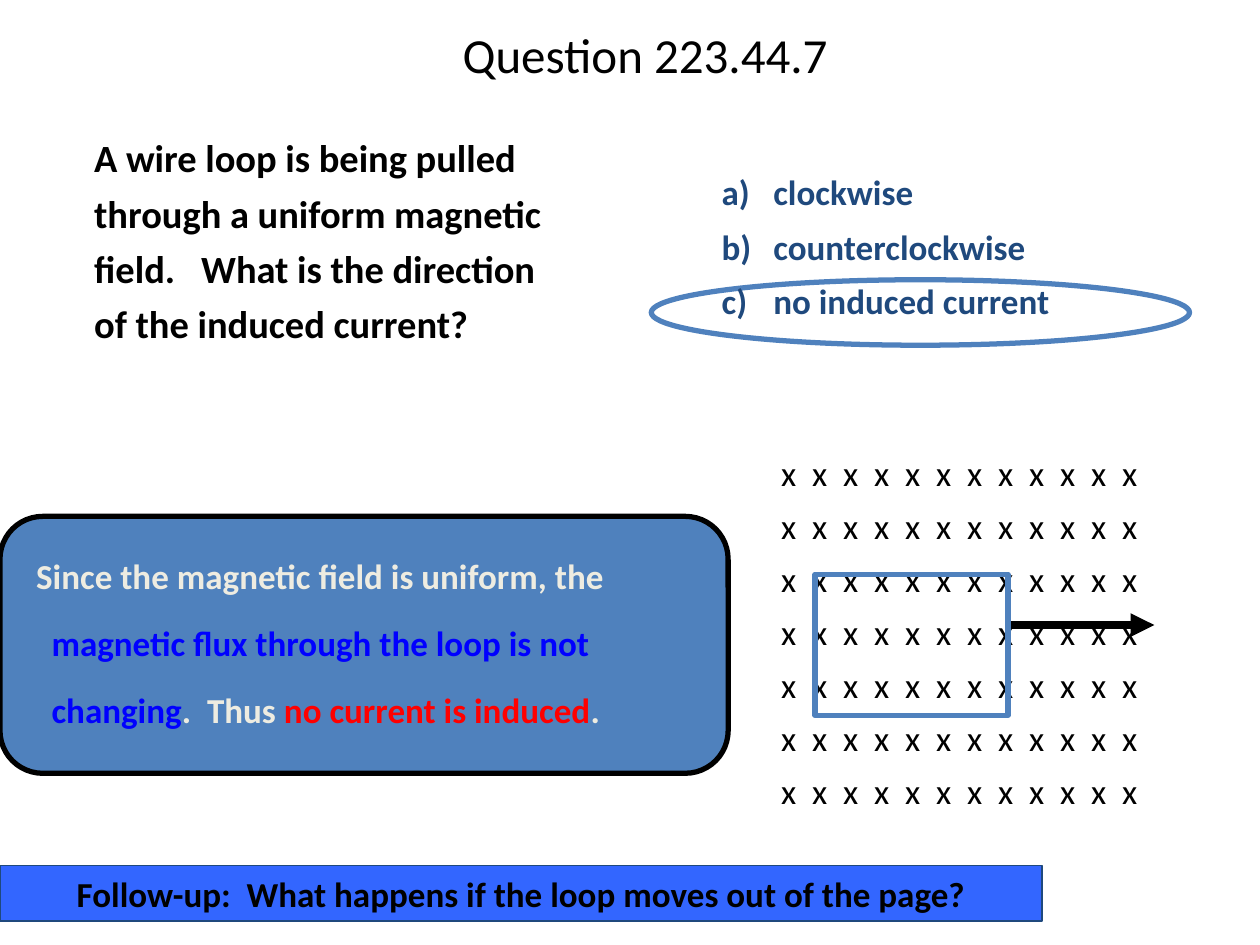
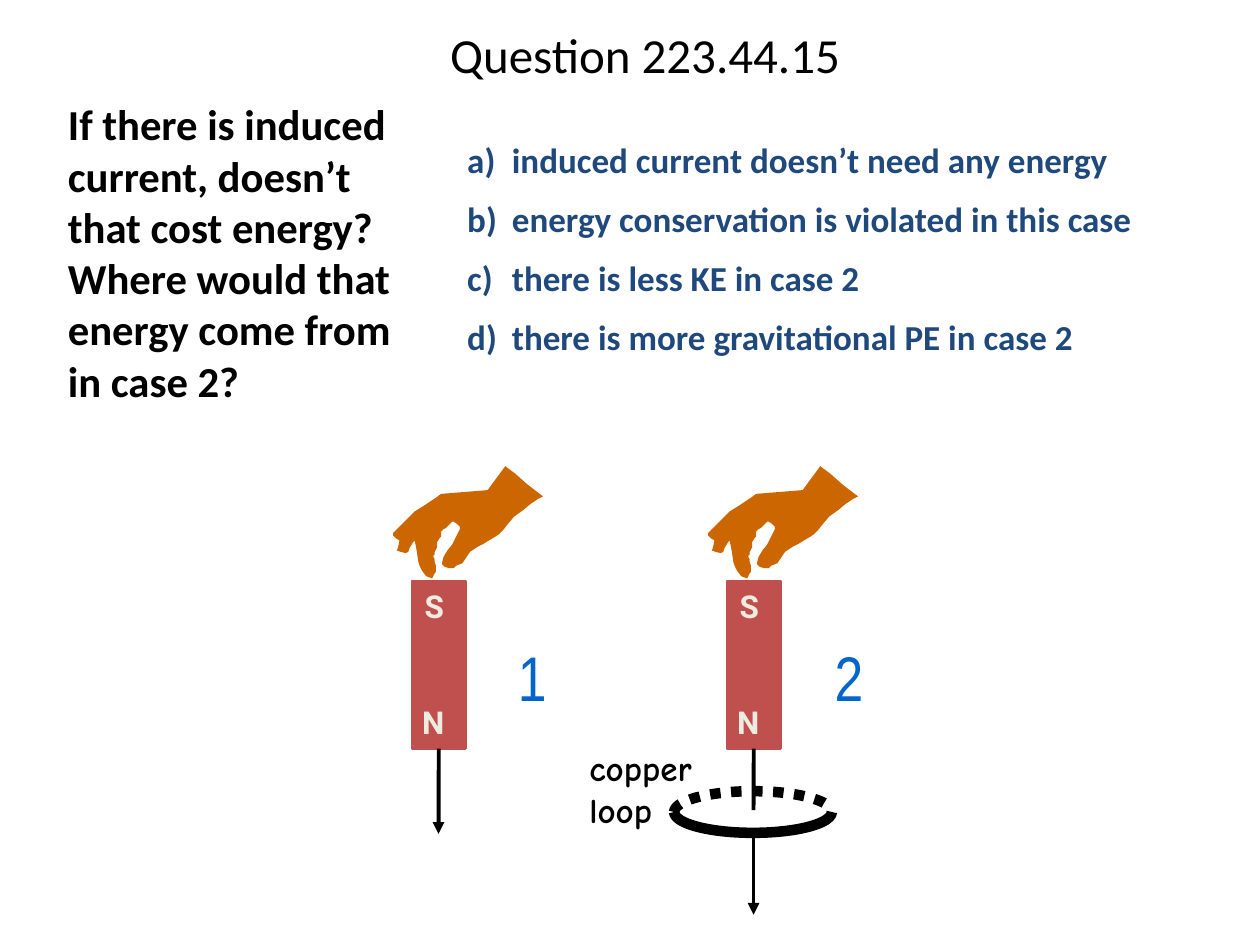
from pptx import Presentation
from pptx.dml.color import RGBColor
from pptx.enum.dml import MSO_LINE
from pptx.enum.shapes import MSO_CONNECTOR, MSO_SHAPE
from pptx.enum.text import MSO_ANCHOR, PP_ALIGN
from pptx.oxml.ns import qn
from pptx.util import Cm, Pt
from lxml import etree

# Shared look
FONT = "Calibri"
BLACK, BLUE, NAVY, CREAM = "000000", "4F81BD", "1F497D", "EEECE1"
MAGNET_RED, HAND_BROWN, DIGIT_BLUE = "C0504D", "CC6600", "0066CC"
BAR_BLUE, PURE_BLUE, RED = "3366FF", "0000FF", "FF0000"

LEFT, CENTER = PP_ALIGN.LEFT, PP_ALIGN.CENTER
TOP, MIDDLE = MSO_ANCHOR.TOP, MSO_ANCHOR.MIDDLE
RECTANGLE, ROUNDED = MSO_SHAPE.RECTANGLE, MSO_SHAPE.ROUNDED_RECTANGLE
OVAL, ARC = MSO_SHAPE.OVAL, MSO_SHAPE.ARC
STRAIGHT, DOTTED = MSO_CONNECTOR.STRAIGHT, MSO_LINE.ROUND_DOT
BOTTOM_SITE = 2
ARC_UNITS_PER_DEGREE = 0.6

# Hand outline in units of HAND_UNIT centimetres
HAND_UNIT = 0.0254
HAND = [
    (34, 82), (34, 79), (33, 76), (33, 74), (32, 72), (32, 71), (33, 70),
    (33, 68), (35, 64), (35, 60), (37, 57), (38, 56), (38, 52), (40, 50),
    (42, 49), (47, 44), (48, 44), (51, 46), (53, 48), (53, 50), (51, 54),
    (47, 62), (43, 67), (40, 72), (39, 76), (39, 78), (41, 80), (45, 81),
    (48, 81), (50, 79), (55, 77), (57, 74), (61, 68), (64, 66), (67, 64),
    (71, 62), (76, 59), (81, 56), (84, 54), (87, 51), (91, 46), (96, 40),
    (103, 35), (109, 30), (115, 26), (119, 24), (115, 21), (106, 14),
    (97, 6), (89, 0), (75, 19), (38, 22), (34, 25), (25, 31), (17, 36),
    (12, 41), (5, 48), (0, 53), (0, 55), (2, 57), (5, 59), (4, 64), (3, 67),
    (6, 68), (10, 69), (12, 68), (13, 65), (16, 60), (17, 59), (18, 63),
    (19, 69), (20, 76), (21, 79), (23, 83), (26, 87), (28, 88), (31, 89),
    (32, 87), (33, 85), (34, 84),
]


def color(hex_string):
    return RGBColor.from_string(hex_string)


def write(frame, paragraphs, size=20, fill=BLACK, bold=False, font=FONT,
          align=LEFT, anchor=TOP, spacing=1.0, before=0, margin=0, indent=0,
          insets=(0.25, 0.13), wrap=True):
    """Each paragraph is a string or a list of (text, colour) runs."""
    frame.word_wrap = wrap
    frame.vertical_anchor = anchor
    frame.margin_left = frame.margin_right = Cm(insets[0])
    frame.margin_top = frame.margin_bottom = Cm(insets[1])
    for index, content in enumerate(paragraphs):
        paragraph = frame.add_paragraph() if index else frame.paragraphs[0]
        paragraph.alignment = align
        paragraph.line_spacing = spacing
        paragraph.space_before = Pt(before if index else 0)
        properties = paragraph._p.get_or_add_pPr()
        properties.set("marL", str(Cm(margin)))
        properties.set("indent", str(Cm(indent)))
        runs = [(content, fill)] if isinstance(content, str) else content
        for words, run_fill in runs:
            run = paragraph.add_run()
            run.text = words
            run.font.name = font
            run.font.size = Pt(size)
            run.font.bold = bold
            run.font.color.rgb = color(run_fill)


def add_text(slide, left, top, width, height, paragraphs, **text_format):
    box = slide.shapes.add_textbox(Cm(left), Cm(top), Cm(width), Cm(height))
    write(box.text_frame, paragraphs, **text_format)


def paint(shape, fill=None, line=None, weight=0.75):
    shape.shadow.inherit = False
    if fill:
        shape.fill.solid()
        shape.fill.fore_color.rgb = color(fill)
    else:
        shape.fill.background()
    if line:
        shape.line.color.rgb = color(line)
        shape.line.width = Pt(weight)
    else:
        shape.line.fill.background()


def add_shape(slide, kind, left, top, width, height, **style):
    shape = slide.shapes.add_shape(
        kind, Cm(left), Cm(top), Cm(width), Cm(height))
    paint(shape, **style)
    return shape


def add_line(slide, start, end, weight, arrow=True, source=None):
    connector = slide.shapes.add_connector(
        STRAIGHT, Cm(start[0]), Cm(start[1]), Cm(end[0]), Cm(end[1]))
    if source is not None:
        connector.begin_connect(source, BOTTOM_SITE)
    connector.line.color.rgb = color(BLACK)
    connector.line.width = Pt(weight)
    if arrow:
        outline = connector.line._get_or_add_ln()
        etree.SubElement(outline, qn("a:tailEnd"), type="triangle")
    etree.SubElement(connector._element.spPr, qn("a:effectLst"))


def add_title(slide, title):
    add_text(slide, 1.83, 0, 22.35, 2.34, [title], size=28, align=CENTER,
             anchor=MIDDLE, spacing=0.9)


def add_question(slide, left, top, width, height, question, **text_format):
    add_text(slide, left, top, width, height, [question], bold=True,
             margin=1.12, **text_format)


def add_answers(slide, left, top, width, height, answers, hanging, spacing):
    lettered = [f"{letter})\t{answer}"
                for letter, answer in zip("abcd", answers)]
    add_text(slide, left, top, width, height, lettered, fill=NAVY, bold=True,
             spacing=spacing, before=9.7, margin=hanging, indent=-hanging)


def add_ring(slide, left, top, width, height):
    for start, end, dash in ((180, 354, DOTTED), (0, 180, None)):
        arc = add_shape(slide, ARC, left, top, width, height,
                        line=BLACK, weight=6)
        arc.adjustments[0] = start * ARC_UNITS_PER_DEGREE
        arc.adjustments[1] = end * ARC_UNITS_PER_DEGREE
        if dash:
            arc.line.dash_style = dash


def add_hand(slide, left, top):
    origin = [(left / HAND_UNIT + x, top / HAND_UNIT + y) for x, y in HAND]
    builder = slide.shapes.build_freeform(*origin[0], scale=Cm(HAND_UNIT))
    builder.add_line_segments(origin[1:], close=True)
    paint(builder.convert_to_shape(), fill=HAND_BROWN)


def add_held_magnet(slide, left, number, number_left, number_width):
    top = 11.71
    magnet = add_shape(slide, RECTANGLE, left, top, 1.07, 3.38,
                       fill=MAGNET_RED, line=MAGNET_RED, weight=1.5)
    for pole, pole_left, pole_top in (("N", left - 0.05, 14.05),
                                      ("S", left, top)):
        add_text(slide, pole_left, pole_top, 1.1, 1.27, [pole], size=18,
                 font="Roboto", fill=CREAM, bold=True, wrap=False)
    add_hand(slide, left - 0.38, 9.4)
    add_text(slide, number_left, 12.74, number_width, 1.57, [number], size=36,
             font="Arial Narrow", fill=DIGIT_BLUE, align=CENTER, wrap=False)
    return magnet


def build_wire_loop_slide(slide):
    # Explanation
    add_shape(slide, ROUNDED, 0, 10.41, 14.68, 5.18,
              fill=BLUE, line=BLACK, weight=3)
    explanation = [
        ("Since the magnetic field is uniform, the ", CREAM),
        ("magnetic flux through the loop is not changing", PURE_BLUE),
        (".  Thus ", CREAM),
        ("no current is induced", RED),
        (".", CREAM),
    ]
    add_text(slide, 0, 10.54, 14.66, 4.32, [explanation], bold=True,
             spacing=1.6, margin=0.79, indent=-0.31)

    # Marker around the right answer
    add_shape(slide, OVAL, 13.13, 5.64, 10.85, 1.32, line=BLUE, weight=3)

    # Field into the page, with the loop pulled to the right
    field_row = "  ".join("x" * 12)
    add_text(slide, 15.47, 9.09, 9.07, 7.85, [field_row] * 7, spacing=0.9,
             before=8.7, insets=(0.28, 0.1))
    add_line(slide, (20.32, 12.6), (23.27, 12.6), 4.5)
    add_shape(slide, RECTANGLE, 16.43, 11.58, 3.89, 2.84, line=BLUE, weight=3)

    # Question, answers and follow-up
    add_title(slide, "Question 223.44.7")
    add_question(
        slide, 0.53, 2.39, 11.3, 5.51,
        "A wire loop is being pulled through a uniform magnetic field.   "
        "What is the direction of the induced current?",
        size=22, spacing=1.2)
    add_answers(slide, 14.3, 3.4, 10.46, 3.4,
                ["clockwise", "counterclockwise", "no induced current"],
                hanging=1.04, spacing=0.9)
    follow_up = add_shape(slide, RECTANGLE, 0, 17.45, 21.01, 1.12,
                          fill=BAR_BLUE, line=NAVY)
    write(follow_up.text_frame,
          ["Follow-up:  What happens if the loop moves out of the page?"],
          bold=True, align=CENTER, anchor=MIDDLE)


def build_falling_magnets_slide(slide):
    # Question and answers
    add_answers(slide, 9.17, 2.67, 16.23, 4.95,
                ["induced current doesn’t need any energy",
                 "energy conservation is violated in this case",
                 "there is less KE in case 2",
                 "there is more gravitational PE in case 2"],
                hanging=0.9, spacing=1.0)
    add_title(slide, "Question 223.44.15")
    add_question(
        slide, 0, 1.85, 8.41, 6.65,
        "If there is induced current, doesn’t that cost energy? "
        "Where would that energy come from in case 2?", size=24.4)

    # Case 2: magnet falling through the copper loop
    add_ring(slide, 13.59, 15.95, 3.18, 0.84)
    magnet = add_held_magnet(slide, 14.66, "2", 16.43, 1.37)
    add_line(slide, (15.19, 15.09), (15.19, 16.33), 2.25,
             arrow=False, source=magnet)
    add_line(slide, (15.19, 16.74), (15.19, 18.44), 2.25)
    add_text(slide, 11.63, 14.91, 2.72, 1.96, ["copper", "loop"],
             font="Comic Neue", bold=True, wrap=False)

    # Case 1: magnet falling freely
    magnet = add_held_magnet(slide, 8.31, "1", 10.19, 0.76)
    add_line(slide, (8.84, 15.09), (8.84, 16.81), 2.25, source=magnet)


def main():
    presentation = Presentation()
    presentation.slide_width = Cm(25.4)
    presentation.slide_height = Cm(19.05)
    blank = presentation.slide_layouts[6]
    for build in (build_wire_loop_slide, build_falling_magnets_slide):
        build(presentation.slides.add_slide(blank))
    presentation.save("out.pptx")


if __name__ == "__main__":
    main()
